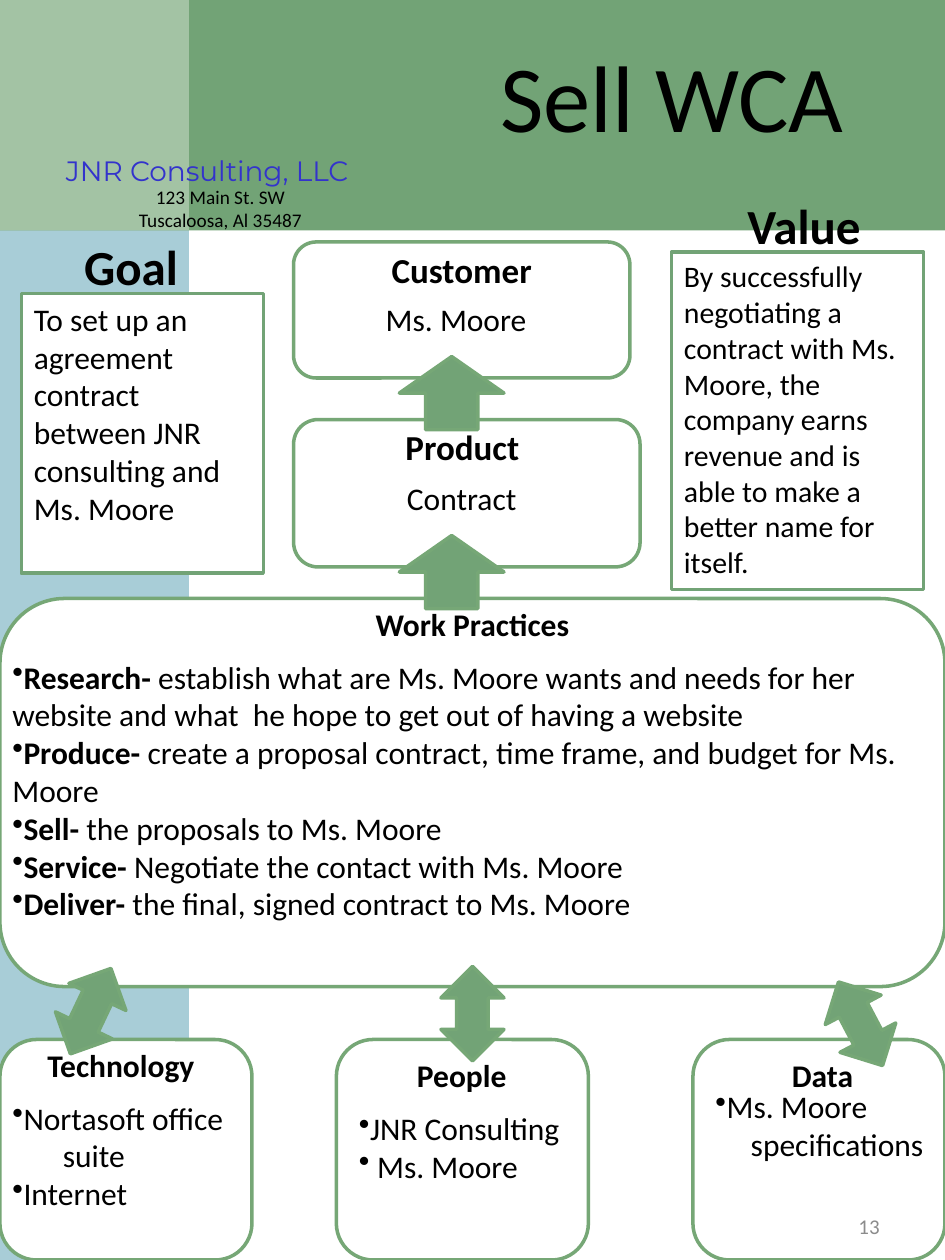
from dataclasses import dataclass

from lxml.etree import SubElement
from pptx import Presentation
from pptx.dml.color import RGBColor
from pptx.enum.shapes import MSO_SHAPE as Preset
from pptx.enum.text import MSO_ANCHOR as Anchor, MSO_AUTO_SIZE as AutoSize, PP_ALIGN as Align
from pptx.oxml.ns import qn
from pptx.util import Inches, Pt

COLORS = {
    "white": "FFFFFF",
    "black": "000000",
    "sidebar": "A8CDD7",
    "green": "72A376",
    "corner": "B0CCB0",
    "outline": "76A776",
    "company": "3333CC",
    "number": "8C8C8C",
}


@dataclass
class Area:
    left: float
    top: float
    width: float
    height: float


@dataclass
class Line:
    text: str
    lead: str = ""
    bullet: bool = False
    indent: float = 0


@dataclass
class Style:
    size: float = 18
    bold: bool = False
    align: Align = Align.LEFT
    color: str = "black"
    font: str = "Calibri"
    wrap: bool = True
    anchor: Anchor = Anchor.TOP


BODY = Style()
CENTERED = Style(align=Align.CENTER)
HEADING = Style(bold=True, align=Align.CENTER)
BIG_HEADING = Style(20, True, Align.CENTER)
SIDE_HEADING = Style(28, True, Align.CENTER)


def draw_shape(page, preset: Preset, area: Area, fill: str, line: str = "", rotation: float = 0):
    shape = page.shapes.add_shape(
        preset, Inches(area.left), Inches(area.top), Inches(area.width), Inches(area.height)
    )
    shape.shadow.inherit = False
    shape.rotation = rotation
    shape.fill.solid()
    shape.fill.fore_color.rgb = RGBColor.from_string(COLORS[fill])
    if line:
        shape.line.color.rgb = RGBColor.from_string(COLORS[line])
        shape.line.width = Pt(2)
    else:
        shape.line.fill.background()
    return shape


def set_opacity(shape, percent: int) -> None:
    color = shape.fill._xPr.find(qn("a:solidFill"))[0]
    SubElement(color, qn("a:alpha")).set("val", str(percent * 1000))


def write_lines(shape, lines: list[Line], style: Style) -> None:
    frame = shape.text_frame
    frame.word_wrap = style.wrap
    frame.auto_size = AutoSize.NONE
    frame.vertical_anchor = style.anchor
    for index, line in enumerate(lines):
        para = frame.paragraphs[0] if index == 0 else frame.add_paragraph()
        para.alignment = style.align
        para.font.size = Pt(style.size)
        para.font.name = style.font
        para.font.bold = style.bold
        para.font.color.rgb = RGBColor.from_string(COLORS[style.color])
        if line.lead:
            span = para.add_run()
            span.text = line.lead
            span.font.bold = True
        para.add_run().text = line.text
        properties = para._p.get_or_add_pPr()
        properties.set("marL", str(Inches(line.indent)))
        properties.set("indent", "0")
        if line.bullet:
            bullet = properties.makeelement(qn("a:buChar"), {"char": "•"})
            properties.find(qn("a:defRPr")).addprevious(bullet)


def draw_text(page, area: Area, lines: list[Line], style: Style) -> None:
    box = page.shapes.add_textbox(
        Inches(area.left), Inches(area.top), Inches(area.width), Inches(area.height)
    )
    write_lines(box, lines, style)


def draw_banner(page) -> None:
    draw_shape(page, Preset.RECTANGLE, Area(0, 0.67, 1.5, 9.33), "sidebar")
    draw_shape(page, Preset.RECTANGLE, Area(0, 0, 7.5, 1.83), "green")
    corner = draw_shape(page, Preset.RECTANGLE, Area(0, 0, 1.5, 1.83), "corner")
    set_opacity(corner, 80)
    draw_text(page, Area(0.42, 1.17, 2.45, 0.31), [Line("JNR Consulting, LLC")],
              Style(16, align=Align.CENTER, color="company", font="Montserrat", wrap=False))
    draw_text(page, Area(0, 1.42, 3.5, 0.47),
              [Line("123 Main St. SW"), Line("Tuscaloosa, Al 35487")],
              Style(11, align=Align.CENTER))


def place_title(page) -> None:
    title = page.shapes.title
    title.left, title.top = Inches(3.17), Inches(0.25)
    title.width, title.height = Inches(4.33), Inches(1.01)
    write_lines(title, [Line("Sell WCA")], Style(54, align=Align.CENTER))
    page.shapes._spTree.append(title._element)


def draw_framework(page) -> None:
    panels = [
        Area(5.5, 8.25, 2, 1.75),
        Area(2.67, 8.25, 2, 1.75),
        Area(0, 4.75, 7.5, 3.08),
        Area(0, 8.25, 2, 1.75),
        Area(2.33, 1.92, 2.67, 1.08),
        Area(2.33, 3.33, 2.75, 1.17),
    ]
    for area in panels:
        draw_shape(page, Preset.ROUNDED_RECTANGLE, area, "white", "outline")
    for left, top, rotation in [(0.47, 7.65, 25.4), (3.5, 7.67, 0), (6.58, 7.75, 332.2)]:
        draw_shape(page, Preset.UP_DOWN_ARROW, Area(left, top, 0.5, 0.75),
                   "green", "outline", rotation)
    for top in (2.83, 4.25):
        draw_shape(page, Preset.UP_ARROW, Area(3.17, top, 0.83, 0.58), "green", "outline")

    headings = [
        ("Customer", Area(2.33, 1.92, 2.67, 0.44), BIG_HEADING),
        ("Product", Area(2.38, 3.33, 2.58, 0.44), BIG_HEADING),
        ("Work Practices", Area(0, 4.75, 7.5, 0.4), HEADING),
        ("Technology", Area(0, 8.25, 1.92, 0.4), HEADING),
        ("People", Area(2.75, 8.33, 1.83, 0.4), HEADING),
        (" Data", Area(5.5, 8.33, 2, 0.4), HEADING),
        ("Value", Area(5.67, 1.5, 1.42, 0.57), SIDE_HEADING),
        ("Goal", Area(0.33, 1.83, 1.42, 0.57), SIDE_HEADING),
    ]
    for text, area, style in headings:
        draw_text(page, area, [Line(text)], style)


def draw_details(page) -> None:
    statements = [
        (Area(0.17, 2.33, 1.92, 2.22), 18,
         "To set up an agreement contract between JNR consulting and Ms. Moore"),
        (Area(5.33, 2, 2, 2.68), 17,
         "By successfully negotiating a contract with Ms. Moore, the company earns "
         "revenue and is able to make a better name for itself."),
    ]
    for area, size, text in statements:
        panel = draw_shape(page, Preset.RECTANGLE, area, "white", "green")
        write_lines(panel, [Line(text)], Style(size))

    practices = {
        "Research-": " establish what are Ms. Moore wants and needs for her website "
                     "and what  he hope to get out of having a website",
        "Produce-": " create a proposal contract, time frame, and budget for Ms. Moore",
        "Sell-": " the proposals to Ms. Moore",
        "Service-": " Negotiate the contact with Ms. Moore",
        "Deliver-": " the final, signed contract to Ms. Moore",
    }
    draw_text(page, Area(0, 5.17, 7.5, 2.52),
              [Line(text, lead, True) for lead, text in practices.items()], BODY)
    draw_text(page, Area(2.33, 2.33, 2.58, 0.4), [Line("Ms. Moore")], CENTERED)
    draw_text(page, Area(2.33, 3.75, 2.67, 0.4), [Line("Contract")], CENTERED)
    draw_text(page, Area(5.58, 8.58, 1.92, 0.71),
              [Line("Ms. Moore", bullet=True), Line("specifications", indent=0.28)], BODY)
    draw_text(page, Area(2.75, 8.75, 1.83, 0.71),
              [Line("JNR Consulting", bullet=True), Line(" Ms. Moore", bullet=True)], BODY)
    draw_text(page, Area(0, 8.67, 1.92, 1.01),
              [Line("Nortasoft office", bullet=True), Line("suite", indent=0.4),
               Line("Internet", bullet=True)], BODY)
    draw_text(page, Area(5.33, 9.47, 1.75, 0.53), [Line("13")],
              Style(12, align=Align.RIGHT, color="number", anchor=Anchor.MIDDLE))


def main() -> None:
    deck = Presentation()
    deck.slide_width, deck.slide_height = Inches(7.5), Inches(10)
    page = deck.slides.add_slide(deck.slide_layouts[5])
    draw_banner(page)
    place_title(page)
    draw_framework(page)
    draw_details(page)
    deck.save("out.pptx")


if __name__ == "__main__":
    main()
